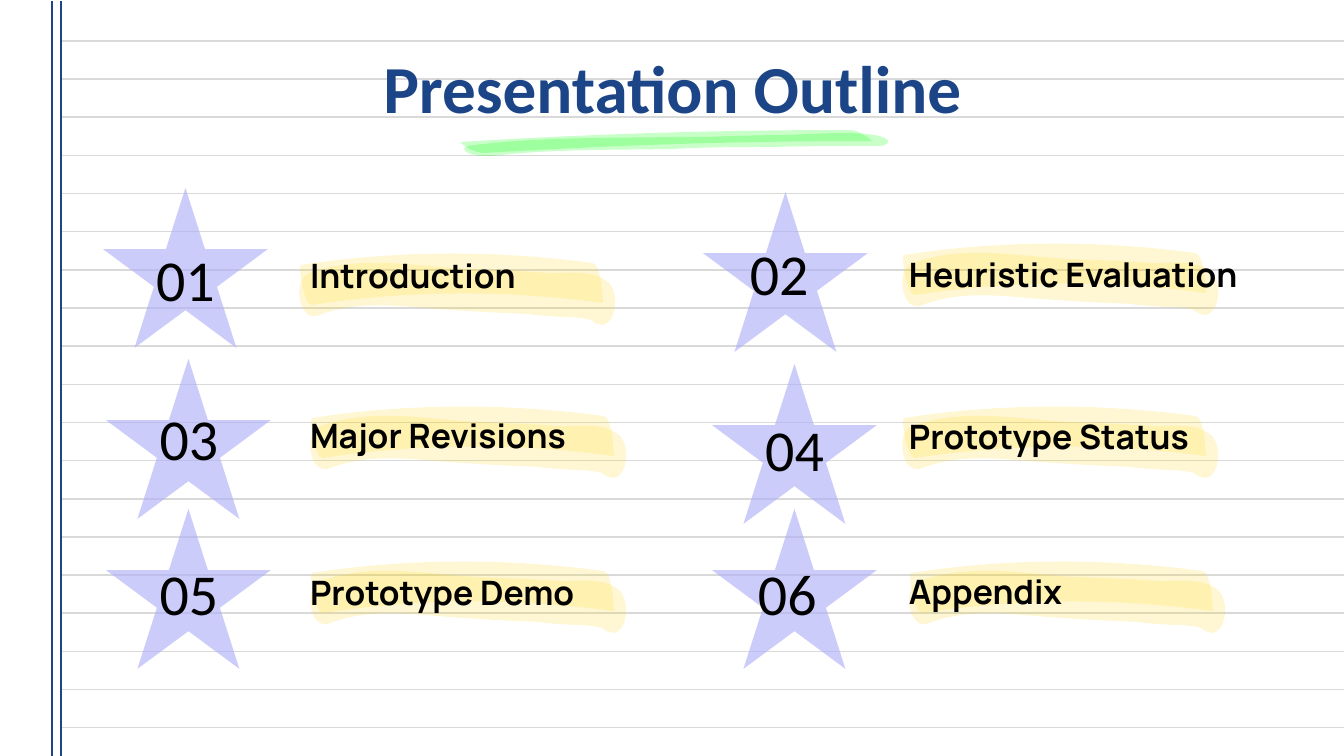
"""Build the Presentation Outline slide: ruled paper, stars and marker strokes."""
from math import cos, radians, sin

from lxml.etree import SubElement
from pptx import Presentation
from pptx.dml.color import RGBColor
from pptx.enum.shapes import MSO_CONNECTOR, MSO_SHAPE
from pptx.enum.text import MSO_ANCHOR, PP_ALIGN
from pptx.oxml.ns import qn
from pptx.util import Emu, Pt

LEFT, CENTER = PP_ALIGN.LEFT, PP_ALIGN.CENTER
TOP, MIDDLE = MSO_ANCHOR.TOP, MSO_ANCHOR.MIDDLE

TITLE = "Presentation Outline"
TITLE_BOX = (106, 46, 1133, 52)
ITEMS = [
    dict(number="01", label="Introduction", star=(103, 188), marker=(293, 243),
         number_box=(141, 226, 89, 105), align=CENTER, anchor=MIDDLE, label_at=(297, 242)),
    dict(number="02", label="Heuristic Evaluation", star=(703, 192), marker=(896, 233),
         number_box=(750, 238, 89, 93), align=LEFT, anchor=TOP, label_at=(896, 241)),
    dict(number="03", label="Major Revisions", star=(106, 359), marker=(304, 396),
         number_box=(128, 403, 122, 93), align=CENTER, anchor=TOP, label_at=(297, 402)),
    dict(number="04", label="Prototype Status", star=(712, 364), marker=(896, 396),
         number_box=(746, 414, 97, 62), align=CENTER, anchor=TOP, label_at=(896, 403)),
    dict(number="05", label="Prototype Demo", star=(106, 509), marker=(304, 551),
         number_box=(128, 558, 122, 93), align=CENTER, anchor=TOP, label_at=(297, 559)),
    dict(number="06", label="Appendix", star=(712, 509), marker=(903, 551),
         number_box=(758, 558, 74, 93), align=LEFT, anchor=TOP, label_at=(896, 558)),
]
STAR_SIZE = (165, 160)
LABEL_SIZE = (368, 58)
COLORS = {"rule": "D9D9D9", "navy": "1C4587", "star": "B0B1F7",
          "yellow": "FFD400", "green": "00FF00", "black": "000000"}

MARKER_TILT = 8.4
MARKER = [
    dict(center=(158, 42), start=(300, 20), curves=[
        (203, 7, 105, 7, 8, 22), (5, 23, 11, 62, 19, 62),
        (117, 47, 214, 47, 310, 60), (310, 60, 309, 22, 300, 20)]),
    dict(center=(161, 52), start=(296, 31), curves=[
        (281, 28, 265, 31, 254, 30), (226, 28, 198, 27, 171, 26),
        (121, 23, 67, 12, 17, 30), (0, 36, 5, 71, 19, 73),
        (20, 73, 22, 73, 24, 73), (69, 55, 116, 65, 160, 67),
        (185, 69, 210, 70, 235, 71), (246, 73, 258, 73, 269, 74),
        (280, 74, 290, 75, 298, 77), (300, 79, 302, 81, 310, 82),
        (316, 81, 320, 74, 321, 69), (324, 55, 321, 46, 316, 40),
        (310, 35, 304, 32, 296, 31)]),
]
UNDERLINE_AT = (454, 130)
UNDERLINE = [
    dict(center=(211, 12), start=(395, 0), curves=[
        (263, 0, 134, 4, 7, 12), (4, 12, 19, 23, 30, 23),
        (157, 15, 288, 11, 418, 11), (418, 11, 407, 0, 395, 0)]),
    dict(center=(218, 14), start=(392, 3), curves=[
        (374, 3, 352, 4, 336, 5), (300, 5, 262, 7, 224, 7),
        (157, 8, 85, 7, 22, 15), (0, 16, 12, 26, 31, 26),
        (34, 26, 36, 26, 38, 26), (95, 19, 159, 20, 219, 19),
        (253, 17, 286, 17, 320, 17), (350, 16, 391, 16, 421, 16),
        (429, 16, 433, 15, 434, 12), (435, 9, 429, 7, 421, 5),
        (413, 4, 403, 3, 392, 3)]),
]

PAGE_WIDTH, PAGE_HEIGHT = 1344, 756
RULE_COUNT, RULE_TOP, RULE_STEP = 19, 41, 38.15
MARGINS = (52, 61)


def px(length):
    return Emu(round(length * 914400 / 134.4))


def add_rule(page, ends, color, width):
    rule = page.shapes.add_connector(MSO_CONNECTOR.STRAIGHT, *map(px, ends))
    rule.line.color.rgb = RGBColor.from_string(COLORS[color])
    rule.line.width = Pt(width)
    SubElement(rule._element.spPr, qn("a:effectLst"))


def paint(shape, color, opacity):
    shape.shadow.inherit = False
    shape.line.fill.background()
    shape.fill.solid()
    shape.fill.fore_color.rgb = RGBColor.from_string(COLORS[color])
    tint = shape._element.spPr.find(".//" + qn("a:srgbClr"))
    SubElement(tint, qn("a:alpha"), val=str(opacity * 1000))


def turn(point, center, degrees):
    angle = radians(degrees)
    x, y = point[0] - center[0], point[1] - center[1]
    return (center[0] + x * cos(angle) - y * sin(angle),
            center[1] + x * sin(angle) + y * cos(angle))


def bend(shape):
    outline = shape._element.spPr.find(".//" + qn("a:path"))
    lines = outline.findall(qn("a:lnTo"))
    for first in range(0, len(lines), 3):
        curve = SubElement(outline, qn("a:cubicBezTo"))
        lines[first].addprevious(curve)
        for line in lines[first:first + 3]:
            curve.append(line[0])
            outline.remove(line)


def add_strokes(page, strokes, at, color, opacity, tilt=0):
    for stroke in strokes:
        points = [stroke["start"]]
        for curve in stroke["curves"]:
            points += zip(curve[::2], curve[1::2])
        points = [turn(point, stroke["center"], -tilt) for point in points]
        points = [(px(at[0] + x), px(at[1] + y)) for x, y in points]
        builder = page.shapes.build_freeform(*points[0])
        builder.add_line_segments(points[1:], close=True)
        shape = builder.convert_to_shape()
        bend(shape)
        shape.rotation = tilt
        paint(shape, color, opacity)


def add_text(page, text, place, font, size, color="black", bold=False,
             align=LEFT, anchor=TOP, inset=0):
    frame = page.shapes.add_textbox(*map(px, place)).text_frame
    frame.word_wrap = True
    frame.vertical_anchor = anchor
    frame.margin_left = frame.margin_right = px(inset)
    frame.margin_top = frame.margin_bottom = px(inset)
    para = frame.paragraphs[0]
    para.text = text
    para.alignment = align
    para.font.name = font
    para.font.size = Pt(size)
    para.font.bold = bold
    para.font.color.rgb = RGBColor.from_string(COLORS[color])


def main():
    deck = Presentation()
    deck.slide_width, deck.slide_height = px(PAGE_WIDTH), px(PAGE_HEIGHT)
    page = deck.slides.add_slide(deck.slide_layouts[6])

    for row in range(RULE_COUNT):
        y = RULE_TOP + row * RULE_STEP
        add_rule(page, (PAGE_WIDTH, y, MARGINS[1], y), "rule", 0.86)
    for x in MARGINS:
        add_rule(page, (x, 1, x, PAGE_HEIGHT), "navy", 0.62)

    for item in ITEMS:
        add_strokes(page, MARKER, item["marker"], "yellow", 17, MARKER_TILT)
        star = page.shapes.add_shape(MSO_SHAPE.STAR_5_POINT,
                                     *map(px, item["star"] + STAR_SIZE))
        paint(star, "star", 65)
    add_strokes(page, UNDERLINE, UNDERLINE_AT, "green", 21)

    add_text(page, TITLE, TITLE_BOX, "Calibri", 36, "navy", bold=True, align=CENTER)
    for item in ITEMS:
        add_text(page, item["number"], item["number_box"], "Calibri", 31,
                 align=item["align"], anchor=item["anchor"])
        add_text(page, item["label"], item["label_at"] + LABEL_SIZE, "Manrope", 18,
                 bold=True, inset=13)
    deck.save("out.pptx")


if __name__ == "__main__":
    main()
